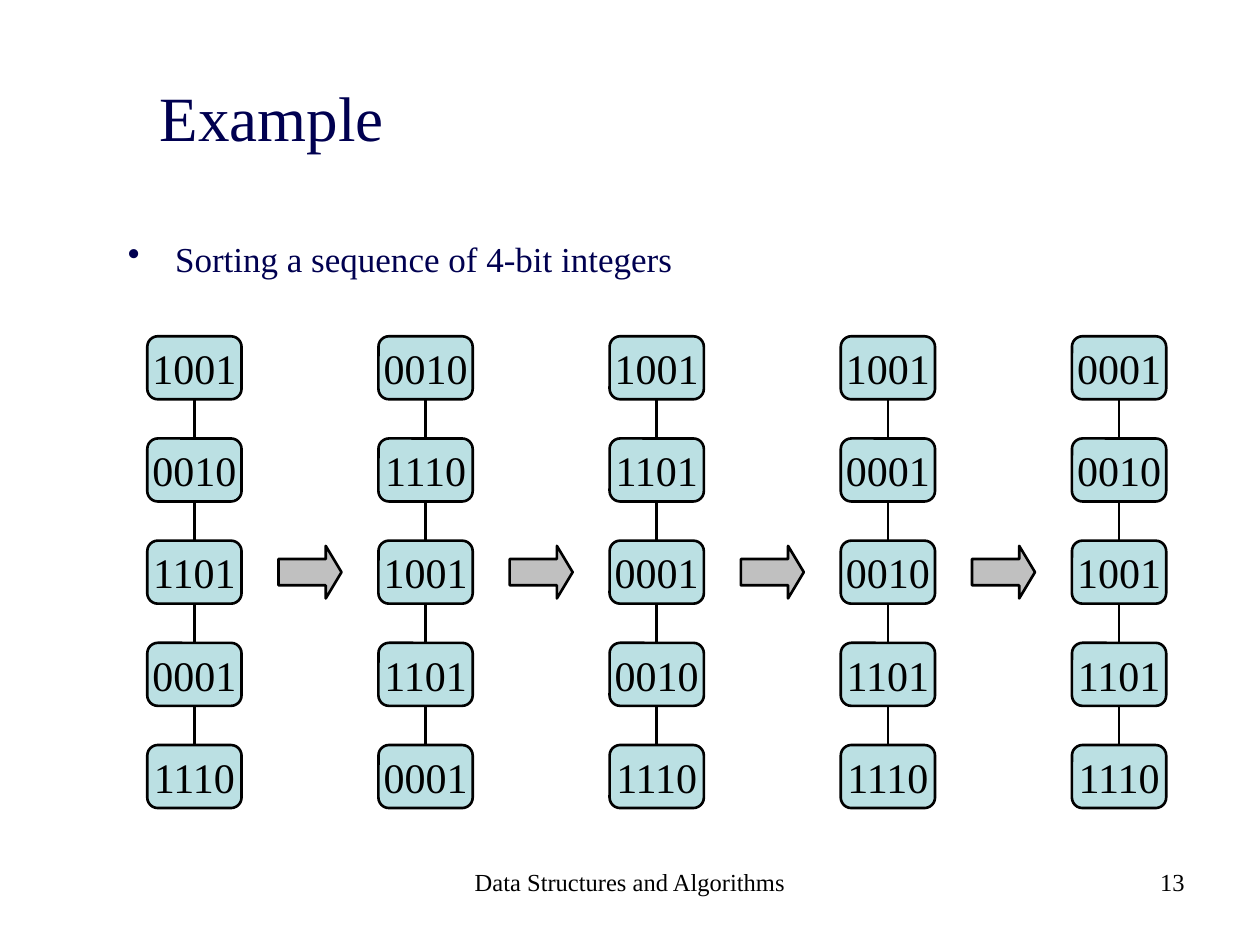
"""Build a slide that shows the passes of a radix sort on 4-bit integers."""
from lxml.etree import SubElement
from pptx import Presentation
from pptx.dml.color import RGBColor
from pptx.enum.shapes import MSO_CONNECTOR, MSO_SHAPE
from pptx.enum.text import MSO_ANCHOR, PP_ALIGN
from pptx.oxml.ns import qn
from pptx.util import Cm, Pt

TITLE = "Example"
BULLET = "Sorting a sequence of 4-bit integers"
FOOTER = "Data Structures and Algorithms"
NUMBER = "13"
PASSES = [
    ["1001", "0010", "1101", "0001", "1110"],
    ["0010", "1110", "1001", "1101", "0001"],
    ["1001", "1101", "0001", "0010", "1110"],
    ["1001", "0001", "0010", "1101", "1110"],
    ["0001", "0010", "1001", "1101", "1110"],
]
FONT = "Times New Roman"
NAVY, BLACK, AQUA, GREY = "000050", "000000", "BBE0E3", "C0C0C0"
LEFT, TOP = 2.97, 6.78
COL_STEP, ROW_STEP = 4.66, 2.06
BOX_W, BOX_H = 1.9, 1.27
ARROW_W, ARROW_H = 1.27, 1.06


def rgb(value):
    """Turn a hex string into a colour."""
    return RGBColor.from_string(value)


def write(sp, text, size, color, align=PP_ALIGN.LEFT, anchor=MSO_ANCHOR.TOP, wrap=True):
    """Put one formatted run into a shape and return its paragraph."""
    tf = sp.text_frame
    tf.word_wrap = wrap
    tf.vertical_anchor = anchor
    p = tf.paragraphs[0]
    p.alignment = align
    r = p.add_run()
    r.text = text
    r.font.name, r.font.size = FONT, Pt(size)
    r.font.color.rgb = rgb(color)
    return p


def add_text(left, top, width, height, *args):
    """Add a text box and return its paragraph."""
    box = s.shapes.add_textbox(Cm(left), Cm(top), Cm(width), Cm(height))
    return write(box, *args)


def add_shape(shapes, kind, left, top, width, height, fill):
    """Add an outlined shape without shadow."""
    sp = shapes.add_shape(kind, Cm(left), Cm(top), Cm(width), Cm(height))
    sp.shadow.inherit = False
    sp.fill.solid()
    sp.fill.fore_color.rgb = rgb(fill)
    sp.line.color.rgb = rgb(BLACK)
    sp.line.width = Pt(1.5)
    return sp


def add_list(left, values):
    """Add one linked column of integers as a group."""
    shapes = s.shapes.add_group_shape().shapes
    mid = Cm(left + BOX_W / 2)
    last_top = TOP + ROW_STEP * (len(values) - 1)
    link = shapes.add_connector(MSO_CONNECTOR.STRAIGHT, mid, Cm(TOP + BOX_H), mid, Cm(last_top))
    link.line.color.rgb = rgb(BLACK)
    link.line.width = Pt(1.5)
    SubElement(link._element.spPr, qn("a:effectLst"))
    for row, value in enumerate(values):
        sp = add_shape(shapes, MSO_SHAPE.ROUNDED_RECTANGLE, left, TOP + row * ROW_STEP,
                       BOX_W, BOX_H, AQUA)
        sp.text_frame.margin_left = sp.text_frame.margin_right = 0
        write(sp, value, 24, BLACK, PP_ALIGN.CENTER, MSO_ANCHOR.MIDDLE, False)


prs = Presentation()
prs.slide_width, prs.slide_height = Cm(25.4), Cm(19.05)
s = prs.slides.add_slide(prs.slide_layouts[5])

title = s.shapes.title
title.left, title.top, title.width, title.height = Cm(2.97), Cm(0.76), Cm(21.16), Cm(3.18)
write(title, TITLE, 36, NAVY, PP_ALIGN.LEFT, MSO_ANCHOR.MIDDLE)

p = add_text(2.33, 4.66, 21.59, 1.48, BULLET, 20, NAVY)
p.space_before = Pt(4)
pPr = p._p.get_or_add_pPr()
pPr.set("marL", str(Cm(0.95)))
pPr.set("indent", str(Cm(-0.95)))
SubElement(pPr, qn("a:buChar")).set("char", "•")

for col, values in enumerate(PASSES):
    add_list(LEFT + col * COL_STEP, values)

gap = COL_STEP - BOX_W
arrow_left = LEFT + BOX_W + (gap - ARROW_W) / 2
arrow_top = TOP + 2 * ROW_STEP + (BOX_H - ARROW_H) / 2
for col in range(len(PASSES) - 1):
    arrow = add_shape(s.shapes, MSO_SHAPE.RIGHT_ARROW, arrow_left + col * COL_STEP, arrow_top,
                      ARROW_W, ARROW_H, GREY)
    arrow.adjustments[0], arrow.adjustments[1] = 0.5, 0.3

add_text(8.68, 17.36, 8.04, 1.32, FOOTER, 14, BLACK, PP_ALIGN.CENTER)
add_text(18.2, 17.36, 5.93, 1.32, NUMBER, 14, BLACK, PP_ALIGN.RIGHT)

prs.save("out.pptx")
